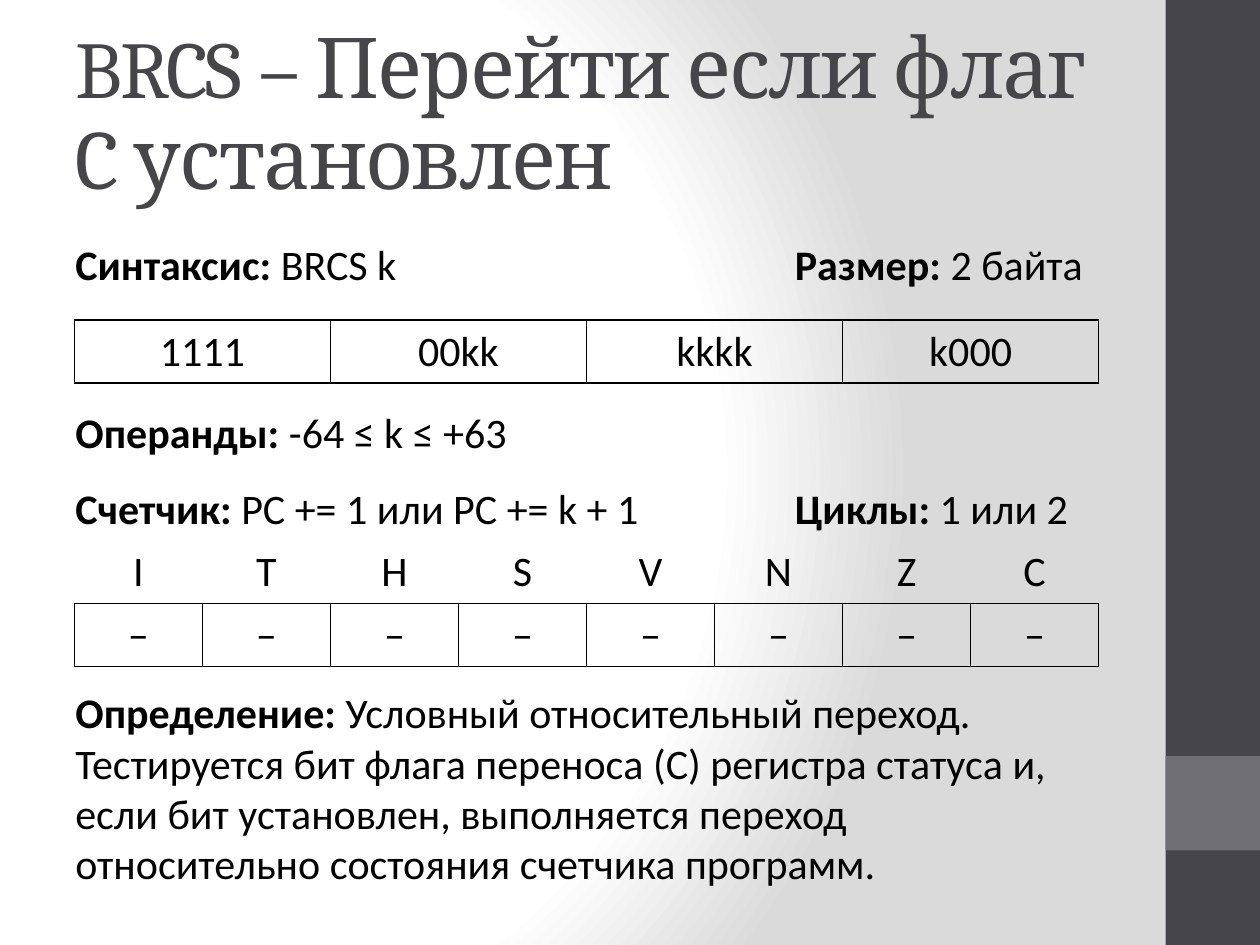
from pptx import Presentation
from pptx.dml.color import RGBColor
from pptx.enum.shapes import MSO_SHAPE
from pptx.enum.text import MSO_ANCHOR, PP_ALIGN
from pptx.oxml import parse_xml
from pptx.oxml.ns import nsdecls, qn
from pptx.util import Inches, Pt

RECT = MSO_SHAPE.RECTANGLE
MIDDLE = MSO_ANCHOR.MIDDLE
CENTER = PP_ALIGN.CENTER
BLACK = RGBColor(0x00, 0x00, 0x00)
DARK = RGBColor(0x46, 0x46, 0x4A)
GRAY = RGBColor(0x6F, 0x6F, 0x74)

LEFT, RIGHT = 0.5, 6.21
TEXT_W, ROW_H = 8.33, 0.5
TABLE_LEFT, TABLE_W = 0.59, 8.13
BAR_LEFT, BAR_W = 9.25, 0.75


def add_text(p, text, font="Calibri", size=24, color=BLACK, bold=False, spacing=None):
    r = p.add_run()
    r.text = text
    r.font.name = font
    r.font.size = Pt(size)
    r.font.bold = bold
    r.font.color.rgb = color
    if spacing is not None:
        r._r.get_or_add_rPr().set("spc", str(spacing))


def set_borders(cell, sides):
    tcPr = cell._tc.get_or_add_tcPr()
    lines = [
        f'<a:ln{side} {nsdecls("a")} w="12700"><a:solidFill>'
        f'<a:srgbClr val="{BLACK}"/></a:solidFill></a:ln{side}>'
        if side in sides else
        f'<a:ln{side} {nsdecls("a")} w="0"><a:noFill/></a:ln{side}>'
        for side in "LRTB"
    ]
    for i, line in enumerate(lines):
        tcPr.insert(i, parse_xml(line))


prs = Presentation()
prs.slide_width, prs.slide_height = Inches(10), Inches(7.5)
s = prs.slides.add_slide(prs.slide_layouts[6])

s.background.fill.solid()
solid = s.element.find(".//" + qn("a:solidFill"))
stops = "".join(
    f'<a:gs pos="{pos * 1000}"><a:srgbClr val="{color}"/></a:gs>'
    for pos, color in [(0, "FFFFFF"), (75, "FFFFFF"), (100, "DADADA")]
)
solid.getparent().replace(solid, parse_xml(
    f'<a:gradFill {nsdecls("a")} rotWithShape="1"><a:gsLst>{stops}</a:gsLst>'
    '<a:path path="circle"><a:fillToRect l="20000" t="50000" r="100000" b="50000"/>'
    '</a:path></a:gradFill>'))

for top, height, color in [(0, 7.5, DARK), (6, BAR_W, GRAY)]:
    sp = s.shapes.add_shape(RECT, Inches(BAR_LEFT), Inches(top), Inches(BAR_W), Inches(height))
    sp.shadow.inherit = False
    sp.fill.solid()
    sp.fill.fore_color.rgb = color
    sp.line.fill.background()

title = s.shapes.add_textbox(Inches(LEFT), Inches(0.3), Inches(TEXT_W), Inches(1.25))
tf = title.text_frame
tf.word_wrap = True
tf.vertical_anchor = MIDDLE
p = tf.paragraphs[0]
p.line_spacing = 0.9
for text, size in [("BRCS ", 46), ("– Перейти если флаг C установлен", 48)]:
    add_text(p, text, font="Cambria", size=size, color=DARK, spacing=-100)

fields = [
    (LEFT, 1.84, 2.78, ROW_H, False, "Синтаксис: ", "BRCS k"),
    (RIGHT, 1.84, 2.51, ROW_H, False, "Размер: ", "2 байта"),
    (LEFT, 3.18, TEXT_W, ROW_H, True, "Операнды: ", "-64 ≤ k ≤ +63"),
    (LEFT, 3.78, 4.72, ROW_H, False, "Счетчик: ", "PC += 1 или PC += k + 1"),
    (RIGHT, 3.78, 2.39, ROW_H, False, "Циклы: ", "1 или 2"),
    (LEFT, 5.4, TEXT_W, 1.72, True, "Определение: ",
     "Условный относительный переход. Тестируется бит флага переноса (С) "
     "регистра статуса и, если бит установлен, выполняется переход "
     "относительно состояния счетчика программ."),
]
for left, top, width, height, wrap, label, value in fields:
    box = s.shapes.add_textbox(Inches(left), Inches(top), Inches(width), Inches(height))
    tf = box.text_frame
    tf.word_wrap = wrap
    add_text(tf.paragraphs[0], label, bold=True)
    add_text(tf.paragraphs[0], value)

opcode = [("LRTB", ["1111", "00kk", "kkkk", "k000"])]
flags = [("B", list("ITHSVNZC")), ("LRTB", ["–"] * 8)]
for top, rows in [(2.54, opcode), (4.29, flags)]:
    n_cols = len(rows[0][1])
    frame = s.shapes.add_table(len(rows), n_cols, Inches(TABLE_LEFT), Inches(top),
                               Inches(TABLE_W), Inches(ROW_H * len(rows)))
    table = frame.table
    table.first_row = table.horz_banding = False
    for i, (sides, values) in enumerate(rows):
        for j, value in enumerate(values):
            cell = table.cell(i, j)
            cell.fill.background()
            set_borders(cell, sides)
            p = cell.text_frame.paragraphs[0]
            p.alignment = CENTER
            add_text(p, value)

prs.save("out.pptx")
